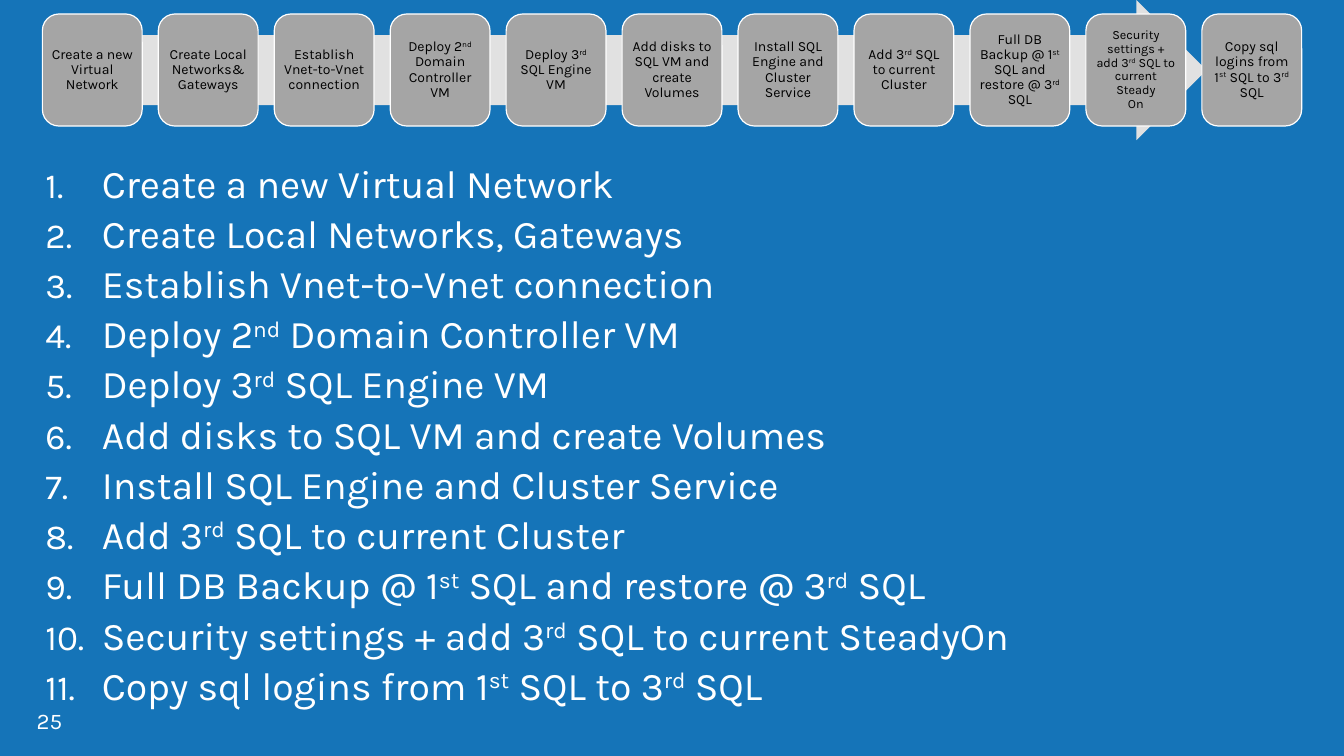
import pptx
import pptx.util
import pptx.dml.color
import pptx.enum.shapes
import pptx.enum.text
import pptx.oxml.ns
from dataclasses import dataclass
from lxml import etree

Inches, Pt = pptx.util.Inches, pptx.util.Pt
RGB = pptx.dml.color.RGBColor.from_string
SHAPE = pptx.enum.shapes.MSO_SHAPE
ALIGN = pptx.enum.text.PP_ALIGN
ANCHOR = pptx.enum.text.MSO_ANCHOR


@dataclass(frozen=True)
class Theme:
    font: str = "Karla"
    back: str = "1574B8"
    white: str = "FFFFFF"
    black: str = "000000"
    arrow: str = "E1E1E1"
    tile: str = "A5A5A5"
    list_size: float = 28
    tile_size: float = 10
    small_size: float = 9
    page_size: float = 16


THEME = Theme()

# Carets enclose superscripts
STEPS = [
    "Create a new Virtual Network",
    "Create Local Networks, Gateways",
    "Establish Vnet-to-Vnet connection",
    "Deploy 2^nd^ Domain Controller VM",
    "Deploy 3^rd^ SQL Engine VM",
    "Add disks to SQL VM and create Volumes",
    "Install SQL Engine and Cluster Service",
    "Add 3^rd^ SQL to current Cluster",
    "Full DB Backup @ 1^st^ SQL and restore @ 3^rd^ SQL",
    "Security settings + add 3^rd^ SQL to current SteadyOn",
    "Copy sql logins from 1^st^ SQL to 3^rd^ SQL",
]

# Tiles whose wording or size differs from the list
LABELS = {
    1: ("Create Local Networks& Gateways", THEME.tile_size),
    9: ("Security settings + add 3^rd^ SQL to current Steady\nOn",
        THEME.small_size),
}


def write(para, text, size, color):
    """Fill a paragraph, raising the parts between carets."""
    para.line_spacing = 0.9
    for part, words in enumerate(text.split("^")):
        for row, line in enumerate(words.split("\n")):
            if row:
                para.add_line_break()
            run = para.add_run()
            run.text = line
            run.font.name = THEME.font
            run.font.size = Pt(size)
            run.font.color.rgb = RGB(color)
            if part % 2:
                run._r.get_or_add_rPr().set("baseline", "30000")


def pad(frame, side, edge):
    frame.word_wrap = True
    frame.margin_left = frame.margin_right = Inches(side)
    frame.margin_top = frame.margin_bottom = Inches(edge)


def add_box(slide, kind, box, fill):
    shape = slide.shapes.add_shape(kind, *map(Inches, box))
    shape.shadow.inherit = False
    shape.fill.solid()
    shape.fill.fore_color.rgb = RGB(fill)
    shape.line.fill.background()
    return shape


def number(para, indent):
    """Number a paragraph with a hanging indent."""
    props = para._p.get_or_add_pPr()
    props.set("marL", str(Inches(indent)))
    props.set("indent", str(-Inches(indent)))
    for tag, key, value in (("a:buSzPct", "val", "90000"),
                            ("a:buAutoNum", "type", "arabicPeriod")):
        etree.SubElement(props, pptx.oxml.ns.qn(tag)).set(key, value)


def add_flow(slide, box):
    """Arrow with one tile per step on top."""
    left, top, width, height = box
    add_box(slide, SHAPE.RIGHT_ARROW,
            (left + 0.93, top, width * 0.85, height), THEME.arrow)
    gap = 0.16
    wide = (width - gap * (len(STEPS) - 1)) / len(STEPS)
    for col, step in enumerate(STEPS):
        text, size = LABELS.get(col, (step, THEME.tile_size))
        place = (left + col * (wide + gap), top + height * 0.1,
                 wide, height * 0.8)
        tile = add_box(slide, SHAPE.ROUNDED_RECTANGLE, place, THEME.tile)
        tile.line.color.rgb = RGB(THEME.white)
        tile.line.width = Pt(0.85)
        frame = tile.text_frame
        pad(frame, 0.04, 0.04)
        frame.vertical_anchor = ANCHOR.MIDDLE
        para = frame.paragraphs[0]
        para.alignment = ALIGN.CENTER
        write(para, text, size, THEME.black)


def add_list(slide, box):
    """Numbered list of the steps."""
    frame = slide.shapes.add_textbox(*map(Inches, box)).text_frame
    pad(frame, 0.16, 0.1)
    for row, step in enumerate(STEPS):
        para = frame.add_paragraph() if row else frame.paragraphs[0]
        para.space_before = Pt(THEME.list_size * 0.2)
        write(para, step, THEME.list_size, THEME.white)
        number(para, 0.56)


def add_page(slide, box, text):
    """Page number in the corner."""
    frame = slide.shapes.add_textbox(*map(Inches, box)).text_frame
    pad(frame, 0.2, 0.16)
    para = frame.paragraphs[0]
    para.alignment = ALIGN.CENTER
    write(para, text, THEME.page_size, THEME.white)


def main():
    deck = pptx.Presentation()
    deck.slide_width, deck.slide_height = Inches(13.33), Inches(7.5)
    slide = deck.slides.add_slide(deck.slide_layouts[6])
    slide.background.fill.solid()
    slide.background.fill.fore_color.rgb = RGB(THEME.back)
    add_page(slide, (0, 6.93, 0.98, 0.57), "25")
    add_list(slide, (0.29, 1.53, 12.62, 6.85))
    add_flow(slide, (0.42, 0, 12.49, 1.39))
    deck.save("out.pptx")


if __name__ == "__main__":
    main()
